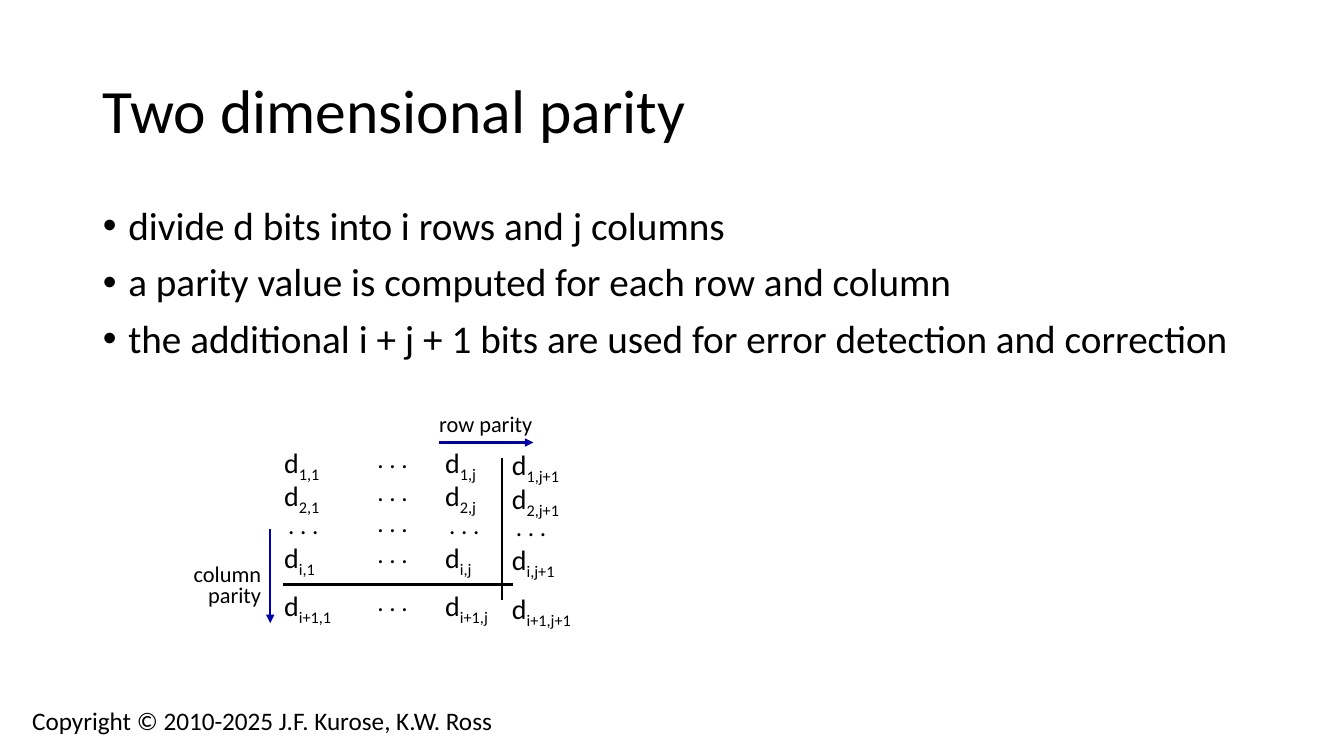
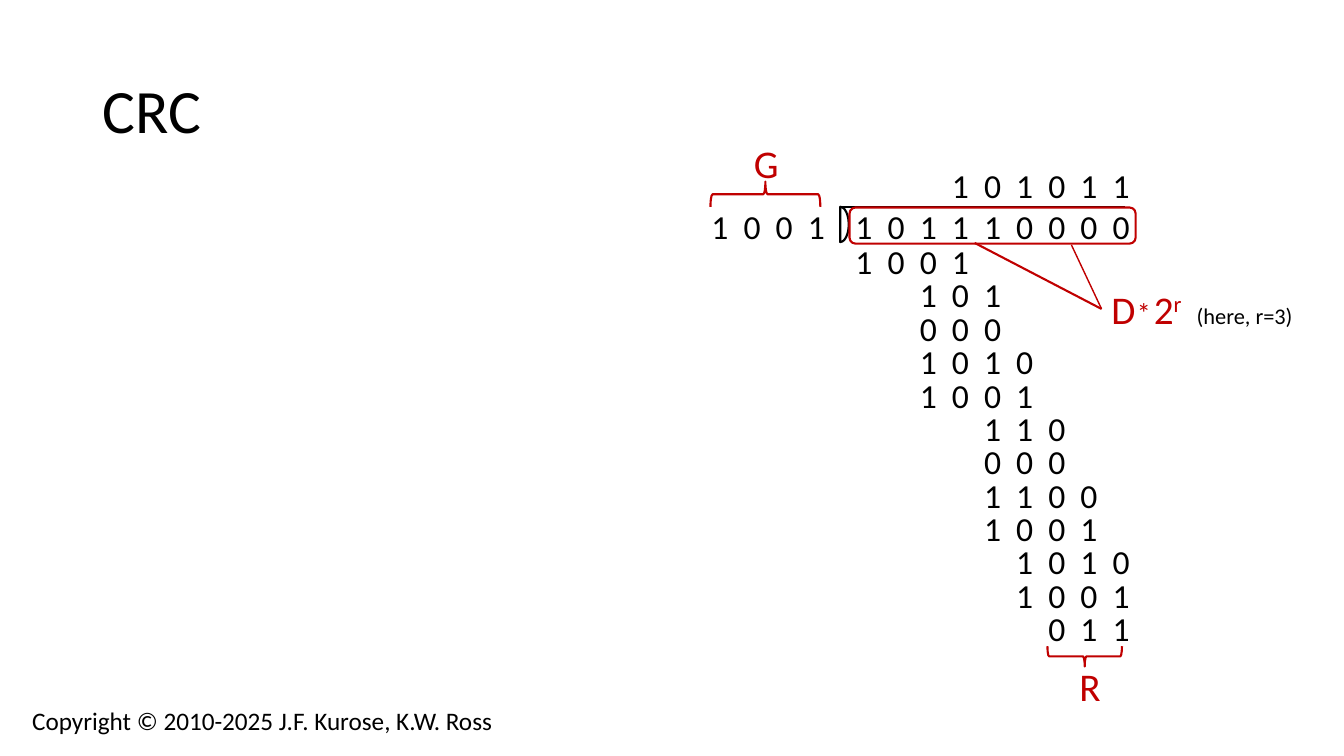
import pptx
import pptx.dml.color
import pptx.enum.shapes
import pptx.enum.text
import pptx.oxml.ns
import pptx.util
from lxml import etree

Cm = pptx.util.Cm
Pt = pptx.util.Pt
SHAPES = pptx.enum.shapes.MSO_SHAPE
ALIGN = pptx.enum.text.PP_ALIGN
BLACK = pptx.dml.color.RGBColor(0x00, 0x00, 0x00)
RED = pptx.dml.color.RGBColor(0xC0, 0x00, 0x00)
BLUE = pptx.dml.color.RGBColor(0x00, 0x00, 0xA8)
FONT = "Calibri"
SUBSCRIPT, SUPERSCRIPT = -25000, 30000
DIGIT_PITCH = 0.81


def add_text(slide, left, top, width, height, runs, size, color=BLACK, tabs=0):
    """Add a text box from (text, baseline shift) runs, with evenly spaced tab stops."""
    box = slide.shapes.add_textbox(Cm(left), Cm(top), Cm(width), Cm(height))
    box.text_frame.word_wrap = True
    paragraph = box.text_frame.paragraphs[0]
    if tabs:
        tab_list = etree.SubElement(paragraph._p.get_or_add_pPr(), pptx.oxml.ns.qn("a:tabLst"))
        for stop in range(1, tabs + 1):
            etree.SubElement(tab_list, pptx.oxml.ns.qn("a:tab"),
                             pos=str(int(Cm(stop * DIGIT_PITCH))), algn="l")
    for text, shift in runs:
        run = paragraph.add_run()
        run.text = text
        run.font.name = FONT
        run.font.size = Pt(size)
        run.font.color.rgb = color
        if shift:
            run.font._element.set("baseline", str(shift))
    return box


def add_line(slide, x1, y1, x2, y2, color, width, arrow=False):
    line = slide.shapes.add_connector(
        pptx.enum.shapes.MSO_CONNECTOR.STRAIGHT, Cm(x1), Cm(y1), Cm(x2), Cm(y2))
    line.line.color.rgb = color
    line.line.width = Pt(width)
    if arrow:
        etree.SubElement(line.line._get_or_add_ln(), pptx.oxml.ns.qn("a:tailEnd"), type="triangle")
    etree.SubElement(line._element.spPr, pptx.oxml.ns.qn("a:effectLst"))
    return line


prs = pptx.Presentation()
prs.slide_width, prs.slide_height = Cm(33.87), Cm(19.05)
parity = prs.slides.add_slide(prs.slide_layouts[1])
crc = prs.slides.add_slide(prs.slide_layouts[5])

# Shared title and copyright line
for slide, heading in ((parity, "Two dimensional parity"), (crc, "CRC")):
    title = slide.shapes.title
    title.left, title.top, title.width, title.height = Cm(2.34), Cm(1.02), Cm(29.21), Cm(3.68)
    title.text_frame.vertical_anchor = pptx.enum.text.MSO_ANCHOR.MIDDLE
    title.text_frame.auto_size = pptx.enum.text.MSO_AUTO_SIZE.NONE
    paragraph = title.text_frame.paragraphs[0]
    paragraph.alignment = ALIGN.LEFT
    paragraph.line_spacing = 0.9
    run = paragraph.add_run()
    run.text = heading
    run.font.name, run.font.size = FONT, Pt(44)
    run.font.color.rgb = BLACK
    add_text(slide, 0.56, 17.65, 20.22, 1.02,
             [("Copyright © 2010-2025 J.F. Kurose, K.W. Ross", 0)], 18)

# Slide 1: bullets
bullets = parity.placeholders[1]
bullets.left, bullets.top, bullets.width, bullets.height = Cm(2.34), Cm(5.08), Cm(29.21), Cm(12.09)
bullets.text_frame.auto_size = pptx.enum.text.MSO_AUTO_SIZE.NONE
for index, point in enumerate((
        "divide d bits into i rows and j columns",
        "a parity value is computed for each row and column",
        "the additional i + j + 1 bits are used for error detection and correction")):
    paragraph = bullets.text_frame.add_paragraph() if index else bullets.text_frame.paragraphs[0]
    properties = paragraph._p.get_or_add_pPr()
    properties.set("marL", str(int(Cm(0.64))))
    properties.set("indent", str(int(Cm(-0.64))))
    etree.SubElement(properties, pptx.oxml.ns.qn("a:buFont"), typeface="Arial")
    etree.SubElement(properties, pptx.oxml.ns.qn("a:buChar"), char="•")
    paragraph.line_spacing = 0.9
    paragraph.space_before = Pt(10 if index else 0)
    run = paragraph.add_run()
    run.text = point
    run.font.name, run.font.size = FONT, Pt(28)
    run.font.color.rgb = BLACK

# Slide 1: parity matrix; None marks an ellipsis
matrix_rows = (("1", 11.1), ("2", 11.94), (None, 12.7), ("i", 13.49), ("i+1", 14.71))
matrix_columns = (("1", 6.91, 0), (None, 9.16, -0.05), ("j", 10.97, 0), ("j+1", 12.65, 0.06))
for row, top in matrix_rows:
    for column, left, drop in matrix_columns:
        if row and column:
            add_text(parity, left, top + drop, 2.3, 1.12,
                     [("d", 0), (f"{row},{column}", SUBSCRIPT)], 20)
        else:
            add_text(parity, left + 0.1, top + drop, 1.75, 1.02, [(". . .", 0)], 18)

add_line(parity, 7.14, 14.73, 12.93, 14.73, BLACK, 2)
add_line(parity, 12.65, 15.11, 12.65, 11.53, BLACK, 2)
add_text(parity, 10.82, 10.21, 3.2, 0.94, [("row parity", 0)], 16)
add_line(parity, 11.07, 11.15, 13.44, 11.15, BLUE, 1.75, arrow=True)
column_label = add_text(parity, 4.33, 14.12, 2.5, 1.37, [("column parity", 0)], 16)
column_label.text_frame.paragraphs[0].alignment = ALIGN.RIGHT
column_label.text_frame.paragraphs[0].line_spacing = 0.8
add_line(parity, 6.81, 13.34, 6.81, 15.7, BLUE, 1.75, arrow=True)

# Slide 2: long division; working rows give the starting column and the digits
working = ((0, "1001"), (2, "101"), (2, "000"), (2, "1010"), (2, "1001"), (4, "110"),
           (4, "000"), (4, "1100"), (4, "1001"), (5, "1010"), (5, "1001"), (6, "011"))
dividend_left = 21.31
digit_rows = [(17.68, 5.06, "1001"),
              (dividend_left + 3 * DIGIT_PITCH, 4.03, "101011"),
              (dividend_left, 5.07, "101110000")]
digit_rows += [(dividend_left + column * DIGIT_PITCH, 5.95 + step * 0.84, digits)
               for step, (column, digits) in enumerate(working)]
for left, top, digits in digit_rows:
    add_text(crc, left, top, (len(digits) + 1) * DIGIT_PITCH, 1.27,
             [("\t".join(digits), 0)], 24, tabs=len(digits) - 1)

add_line(crc, 21.21, 5.21, 28.35, 5.21, BLACK, 1.5)
for kind, left, top, width, height, rotation, color, adjustments in (
        (SHAPES.PIE, 20.73, 5.44, 0.89, 0.43, 270, BLACK, (0, 108)),
        (SHAPES.ROUNDED_RECTANGLE, 21.41, 5.23, 7.21, 0.91, 0, RED, ()),
        (SHAPES.RIGHT_BRACE, 18.97, 3.51, 0.64, 2.77, 270, RED, ()),
        (SHAPES.RIGHT_BRACE, 27.08, 15.6, 0.51, 1.88, 90, RED, ())):
    outline = crc.shapes.add_shape(kind, Cm(left), Cm(top), Cm(width), Cm(height))
    outline.rotation = rotation
    outline.shadow.inherit = False
    outline.fill.background()
    outline.line.color.rgb = color
    outline.line.width = Pt(1.5)
    for index, value in enumerate(adjustments):
        outline.adjustments[index] = value

add_text(crc, 18.75, 3.38, 1.3, 1.45, [("G", 0)], 28, RED)
add_text(crc, 26.95, 16.56, 1.3, 1.45, [("R", 0)], 28, RED)
data_label = add_text(crc, 27.76, 7.06, 1.2, 1.45, [("D", 0)], 28, RED)
add_text(crc, 28.4, 7.32, 0.95, 1.12, [("*", 0)], 20, RED)
add_text(crc, 28.83, 7.06, 1.6, 1.45, [("2", 0), ("r", SUPERSCRIPT)], 28, RED)
add_text(crc, 29.91, 7.5, 3.5, 0.94, [("(here, r=3)", 0)], 16)
for x, y, width in ((24.56, 6.12, 1.5), (27, 6.17, 1)):
    pointer = add_line(crc, x, y, 27.76, 7.78, RED, width)
    pointer.end_connect(data_label, 1)

prs.save("out.pptx")
